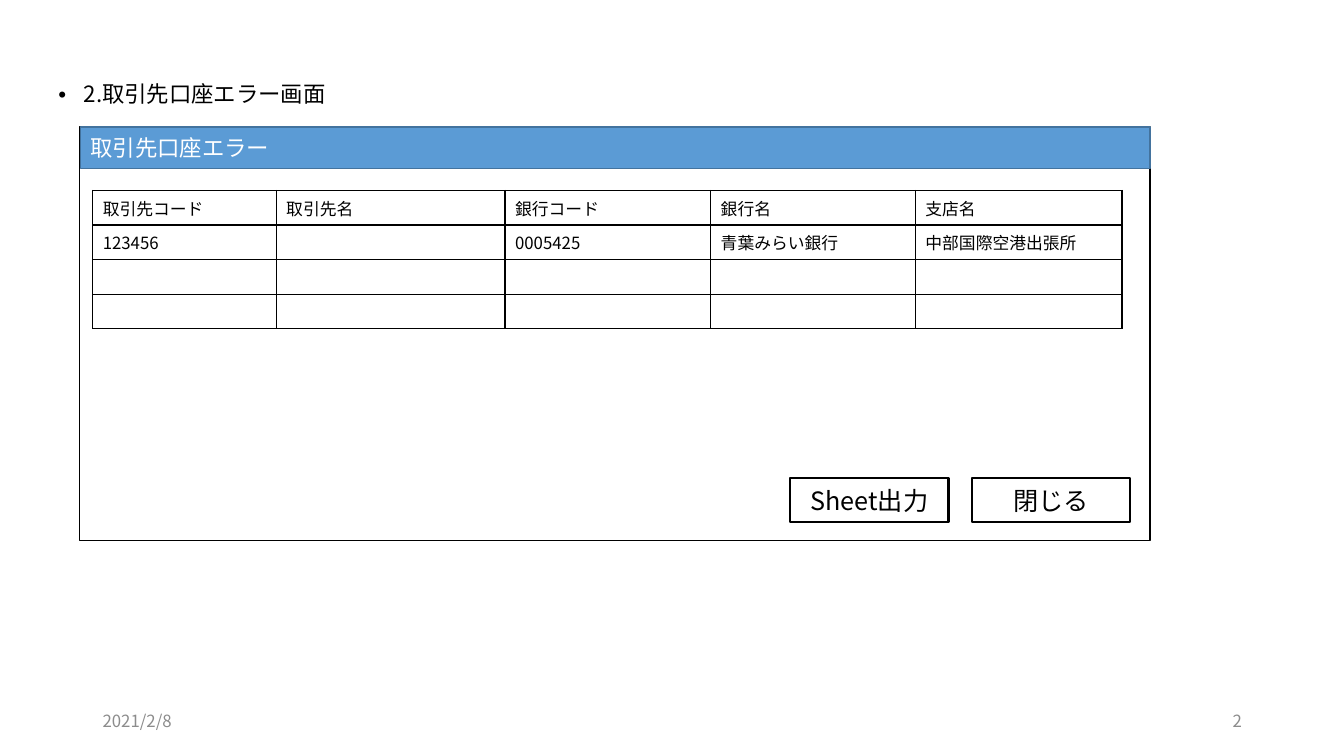
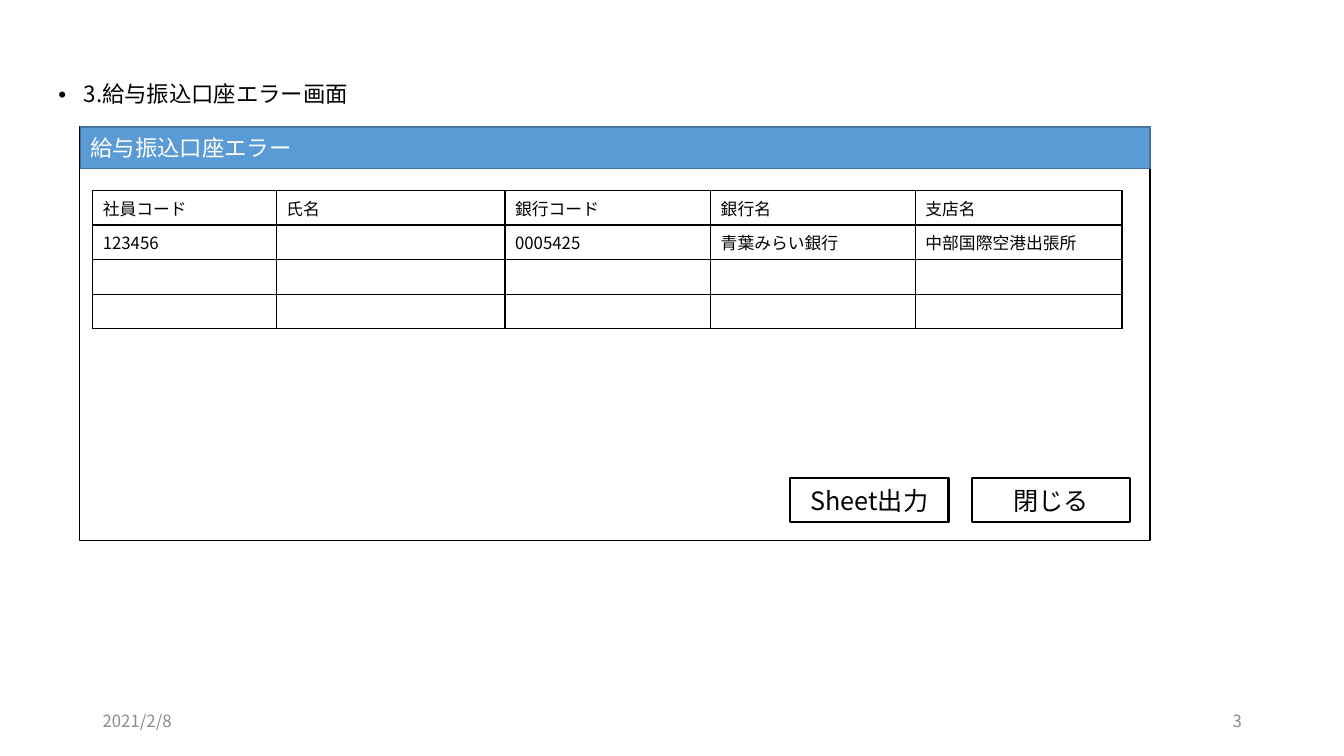
"""Build two mock-ups of bank account error screens."""
from dataclasses import dataclass
from lxml.etree import SubElement
from pptx import Presentation
from pptx.dml.color import RGBColor
from pptx.enum.shapes import MSO_SHAPE
from pptx.enum.text import MSO_ANCHOR, MSO_AUTO_SIZE, PP_ALIGN
from pptx.oxml.ns import qn
from pptx.util import Inches, Pt


@dataclass(frozen=True)
class Theme:
    font: str = "Noto Sans CJK JP"
    ink: str = "000000"
    paper: str = "FFFFFF"
    bar: str = "5B9BD5"
    bar_edge: str = "43739E"
    muted: str = "8C8C8C"
    heading: int = 16
    button: int = 18
    small: int = 12
    thin: float = 1
    thick: float = 1.5


T = Theme()
prs = Presentation()
prs.slide_width, prs.slide_height = Inches(13.33), Inches(7.5)


def area(x, y, w, h):
    across, down = prs.slide_width / 100, prs.slide_height / 100
    return [int(n * unit) for n, unit in zip((x, y, w, h), (across, down) * 2)]


def write(tf, text, size, color, align=PP_ALIGN.LEFT, anchor=MSO_ANCHOR.MIDDLE):
    tf.word_wrap = True
    tf.vertical_anchor = anchor
    p = tf.paragraphs[0]
    p.alignment = align
    r = p.add_run()
    r.text = text
    r.font.size = Pt(size)
    r.font.color.rgb = RGBColor.from_string(color)
    r.font.name = T.font
    SubElement(r._r.get_or_add_rPr(), qn("a:ea"), typeface=T.font)
    return p


screens = [
    (2, "取引先口座エラー", ["取引先コード", "取引先名"]),
    (3, "給与振込口座エラー", ["社員コード", "氏名"]),
]
bank_heads = ["銀行コード", "銀行名", "支店名"]
record = ["123456", "", "0005425", "青葉みらい銀行", "中部国際空港出張所"]
col_shares = [13.65, 17.03, 15.3, 15.23, 15.38]
row_share = 4.57

for number, name, party_heads in screens:
    s = prs.slides.add_slide(prs.slide_layouts[1])
    title = s.shapes.title
    title.element.getparent().remove(title.element)

    body = s.placeholders[1]
    body.left, body.top, body.width, body.height = area(3.6, 10.4, 92.7, 81.2)
    body.text_frame.auto_size = MSO_AUTO_SIZE.NONE
    p = write(body.text_frame, f"{number}.{name}画面", T.heading, T.ink, anchor=MSO_ANCHOR.TOP)
    p.line_spacing, p.space_before = 0.9, Pt(10)
    pPr = p._p.get_or_add_pPr()
    pPr.set("marL", str(Inches(0.25)))
    pPr.set("indent", str(-Inches(0.25)))
    SubElement(pPr, qn("a:buFont"), typeface="Arial")
    SubElement(pPr, qn("a:buChar"), char="•")

    for place, text, fill, edge, weight, size, color, align in [
        ((5.92, 16.8, 79.65, 54.67), "", None, T.ink, T.thin, T.heading, T.ink, PP_ALIGN.LEFT),
        ((6, 16.8, 79.58, 5.47), name, T.bar, T.bar_edge, T.thin, T.heading, T.paper, PP_ALIGN.LEFT),
        ((58.8, 63.2, 11.78, 5.87), "Sheet出力", None, T.ink, T.thick, T.button, T.ink, PP_ALIGN.CENTER),
        ((72.3, 63.2, 11.78, 5.87), "閉じる", None, T.ink, T.thick, T.button, T.ink, PP_ALIGN.CENTER),
    ]:
        sp = s.shapes.add_shape(MSO_SHAPE.RECTANGLE, *area(*place))
        sp.shadow.inherit = False
        if fill:
            sp.fill.solid()
            sp.fill.fore_color.rgb = RGBColor.from_string(fill)
        else:
            sp.fill.background()
        sp.line.color.rgb = RGBColor.from_string(edge)
        sp.line.width = Pt(weight)
        if text:
            write(sp.text_frame, text, size, color, align)

    rows = [party_heads + bank_heads, record, [""] * 5, [""] * 5]
    place = area(6.9, 25.2, sum(col_shares), row_share * len(rows))
    table = s.shapes.add_table(len(rows), len(col_shares), *place).table
    table.first_row = table.horz_banding = False
    for col, share in zip(table.columns, col_shares):
        col.width = int(prs.slide_width * share / 100)
    for row, texts in zip(table.rows, rows):
        row.height = int(prs.slide_height * row_share / 100)
        for cell, text in zip(row.cells, texts):
            tcPr = cell._tc.get_or_add_tcPr()
            for side in ("lnL", "lnR", "lnT", "lnB"):
                ln = SubElement(tcPr, qn(f"a:{side}"), w=str(Pt(T.thin)))
                SubElement(SubElement(ln, qn("a:solidFill")), qn("a:srgbClr"), val=T.ink)
            cell.fill.background()
            if text:
                write(cell.text_frame, text, T.small, T.ink, anchor=MSO_ANCHOR.TOP)
            else:
                SubElement(cell.text_frame.paragraphs[0]._p, qn("a:endParaRPr"), sz=str(T.small * 100))

    for x, text, align in [(6.9, "2021/2/8", PP_ALIGN.LEFT), (70.65, str(number), PP_ALIGN.RIGHT)]:
        footer = s.shapes.add_textbox(*area(x, 92.67, 22.5, 5.33))
        write(footer.text_frame, text, T.small, T.muted, align)

prs.save("out.pptx")
